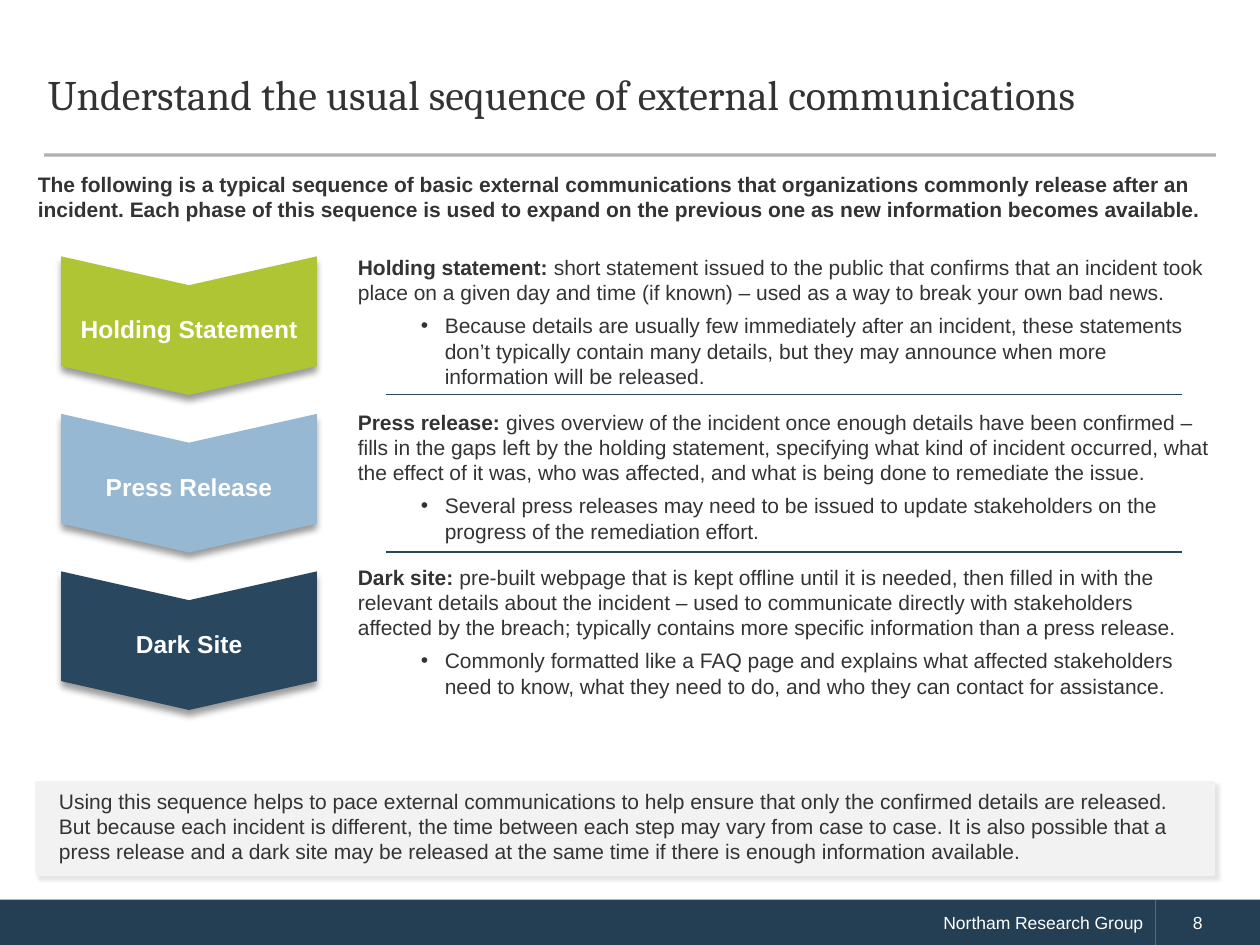
from dataclasses import dataclass

import pptx
import pptx.dml.color
import pptx.enum.shapes
import pptx.enum.text
import pptx.oxml
import pptx.oxml.ns
import pptx.util

ALIGN = pptx.enum.text.PP_ALIGN
ANCHOR = pptx.enum.text.MSO_ANCHOR
SHAPE = pptx.enum.shapes.MSO_SHAPE
NAMESPACE = pptx.oxml.ns.nsdecls("a")


@dataclass(frozen=True)
class Theme:
    text: str = "333333"
    light: str = "FFFFFF"
    panel: str = "F2F2F2"
    footer: str = "243F54"
    title_rule: str = "45433E"
    divider: str = "27465E"
    shadow: str = "000000"
    heading_font: str = "Cambria"
    body_font: str = "Arial"
    title_size: int = 24
    label_size: int = 14
    body_size: int = 12
    footer_size: int = 10


THEME = Theme()


def rgb(value):
    return pptx.dml.color.RGBColor.from_string(value)


def write(paragraph, text, *, size=THEME.body_size, color=THEME.text, bold=False,
          font=THEME.body_font, align=ALIGN.LEFT, indent=0, hanging=0, bullet=None,
          after=0):
    """Add a run to a paragraph and set the format of both."""
    paragraph.alignment = align
    paragraph.space_before = pptx.util.Pt(0)
    paragraph.space_after = pptx.util.Pt(after)
    properties = paragraph._p.get_or_add_pPr()
    properties.set("marL", str(pptx.util.Inches(indent)))
    properties.set("indent", str(pptx.util.Inches(-hanging)))
    if not paragraph.runs:
        mark = f'<a:buChar {NAMESPACE} char="{bullet}"/>' if bullet else f"<a:buNone {NAMESPACE}/>"
        properties.append(pptx.oxml.parse_xml(mark))
    run = paragraph.add_run()
    run.text = text
    run.font.name, run.font.size, run.font.bold = font, pptx.util.Pt(size), bold
    run.font.color.rgb = rgb(color)


class SlideBuilder:
    """Places elements on a grid of 100 columns by 75 rows."""

    def __init__(self, theme):
        self.theme = theme
        self.presentation = pptx.Presentation()
        self.presentation.slide_width = pptx.util.Inches(10)
        self.presentation.slide_height = pptx.util.Inches(7.5)
        self.column = self.presentation.slide_width / 100
        self.row = self.presentation.slide_height / 75
        # The Comparison layout has a title and four text placeholders
        self.slide = self.presentation.slides.add_slide(self.presentation.slide_layouts[4])

    def area(self, column, row, columns, rows):
        return (round(column * self.column), round(row * self.row),
                round(columns * self.column), round(rows * self.row))

    def placeholder(self, index, area, anchor=ANCHOR.TOP):
        shape = next(item for item in self.slide.placeholders
                     if item.placeholder_format.idx == index)
        shape.left, shape.top, shape.width, shape.height = self.area(*area)
        frame = shape.text_frame
        frame.auto_size = pptx.enum.text.MSO_AUTO_SIZE.NONE
        frame.word_wrap = True
        frame.vertical_anchor = anchor
        return frame

    def title(self, text, area):
        paragraph = self.placeholder(0, area, ANCHOR.MIDDLE).paragraphs[0]
        paragraph.line_spacing = pptx.util.Pt(26)
        write(paragraph, text, size=self.theme.title_size, font=self.theme.heading_font)

    def intro(self, index, text, area):
        write(self.placeholder(index, area).paragraphs[0], text, bold=True)

    def description(self, index, term, meaning, detail, area):
        frame = self.placeholder(index, area)
        write(frame.paragraphs[0], term + ": ", bold=True, after=4.5)
        write(frame.paragraphs[0], meaning, after=4.5)
        paragraph = frame.add_paragraph()
        paragraph.level = 1
        write(paragraph, detail, indent=0.69, hanging=0.19, bullet="•")

    def block(self, text, area, fill, kind=SHAPE.RECTANGLE, anchor=ANCHOR.TOP, **style):
        shape = self.slide.shapes.add_shape(kind, *self.area(*area))
        shape.shadow.inherit = False
        shape.fill.solid()
        shape.fill.fore_color.rgb = rgb(fill)
        shape.line.fill.background()
        shape.text_frame.word_wrap = True
        shape.text_frame.vertical_anchor = anchor
        write(shape.text_frame.paragraphs[0], text, **style)
        return shape

    def shadow(self, shape, opacity, blur, distance, angle):
        effects = shape._element.spPr.find(pptx.oxml.ns.qn("a:effectLst"))
        effects.append(pptx.oxml.parse_xml(
            f'<a:outerShdw {NAMESPACE} blurRad="{pptx.util.Pt(blur)}" '
            f'dist="{pptx.util.Pt(distance)}" dir="{angle * 60000}" algn="t" '
            f'rotWithShape="0"><a:srgbClr val="{self.theme.shadow}">'
            f'<a:alpha val="{opacity * 1000}"/></a:srgbClr></a:outerShdw>'))

    def chevron(self, text, center, fill):
        # A quarter turn swaps the sides; vert270 keeps the label level
        thickness, span = 11, 20.3
        column, row = center
        area = (column - thickness / 2, row - span / 2, thickness, span)
        shape = self.block(text, area, fill, SHAPE.CHEVRON, size=self.theme.label_size,
                           color=self.theme.light, bold=True, align=ALIGN.CENTER)
        shape.rotation = 90
        shape.adjustments[0] = 0.208
        shape.text_frame.margin_left = pptx.util.Inches(0.23)
        shape.text_frame._txBody.bodyPr.set("vert", "vert270")
        self.shadow(shape, 40, 4, 3, 90)

    def panel(self, text, area):
        shape = self.block(text, area, self.theme.panel, indent=0.08)
        shape.line.color.rgb = rgb(self.theme.panel)
        shape.line.width = pptx.util.Pt(2)
        self.shadow(shape, 10, 2, 2, 45)

    def footer(self, text, area, **style):
        self.block(text, area, self.theme.footer, anchor=ANCHOR.MIDDLE,
                   size=self.theme.footer_size, color=self.theme.light, **style)

    def rule(self, start, end, row, color, width, opacity=100):
        left, top, length, _ = self.area(start, row, end - start, 0)
        line = self.slide.shapes.add_connector(
            pptx.enum.shapes.MSO_CONNECTOR.STRAIGHT, left, top, left + length, top)
        line.line.color.rgb = rgb(color)
        line.line.width = pptx.util.Pt(width)
        properties = line._element.spPr
        if opacity < 100:
            properties.find(".//" + pptx.oxml.ns.qn("a:srgbClr")).append(
                pptx.oxml.parse_xml(f'<a:alpha {NAMESPACE} val="{opacity * 1000}"/>'))
        properties.append(pptx.oxml.parse_xml(f"<a:effectLst {NAMESPACE}/>"))


# Label, chevron colour, term, meaning, detail
PHASES = [
    ("Holding Statement", "B0C534", "Holding statement",
     "short statement issued to the public that confirms that an incident took place on a given day and time (if known) – used as a way to break your own bad news.",
     "Because details are usually few immediately after an incident, these statements don’t typically contain many details, but they may announce when more information will be released."),
    ("Press Release", "96B8D2", "Press release",
     "gives overview of the incident once enough details have been confirmed – fills in the gaps left by the holding statement, specifying what kind of incident occurred, what the effect of it was, who was affected, and what is being done to remediate the issue.",
     "Several press releases may need to be issued to update stakeholders on the progress of the remediation effort."),
    ("Dark Site", "29475F", "Dark site",
     "pre-built webpage that is kept offline until it is needed, then filled in with the relevant details about the incident – used to communicate directly with stakeholders affected by the breach; typically contains more specific information than a press release.",
     "Commonly formatted like a FAQ page and explains what affected stakeholders need to know, what they need to do, and who they can contact for assistance."),
]


def main():
    builder = SlideBuilder(THEME)

    # Heading
    builder.title("Understand the usual sequence of external communications",
                  (2.8, 2.9, 94.3, 9.4))
    builder.rule(3.5, 96.5, 12.3, THEME.title_rule, 1.75, opacity=42)
    builder.intro(4, "The following is a typical sequence of basic external communications that organizations commonly release after an incident. Each phase of this sequence is used to expand on the previous one as new information becomes available.",
                  (2, 13.1, 95.2, 5))

    # Phases, with a divider between neighbours
    for number, (label, fill, *texts) in enumerate(PHASES):
        builder.chevron(label, (15, 25.85 + 12.5 * number), fill)
        builder.description(number + 1, *texts, (27.4, 19.7 + 12.3 * number, 69.7, 11.8))
        if number:
            builder.rule(30.6, 93.8, 18.8 + 12.5 * number, THEME.divider, 0.75)

    # Conclusion
    builder.panel("Using this sequence helps to pace external communications to help ensure that only the confirmed details are released. But because each incident is different, the time between each step may vary from case to case. It is also possible that a press release and a dark site may be released at the same time if there is enough information available.",
                  (2.9, 62.1, 93.4, 7.3))

    # Footer
    builder.footer("Northam Research Group", (0, 71.4, 91.7, 3.7),
                   align=ALIGN.RIGHT, indent=0.29)
    builder.footer("8", (91.7, 71.4, 8.3, 3.7), indent=0.2)

    builder.presentation.save("out.pptx")


if __name__ == "__main__":
    main()
